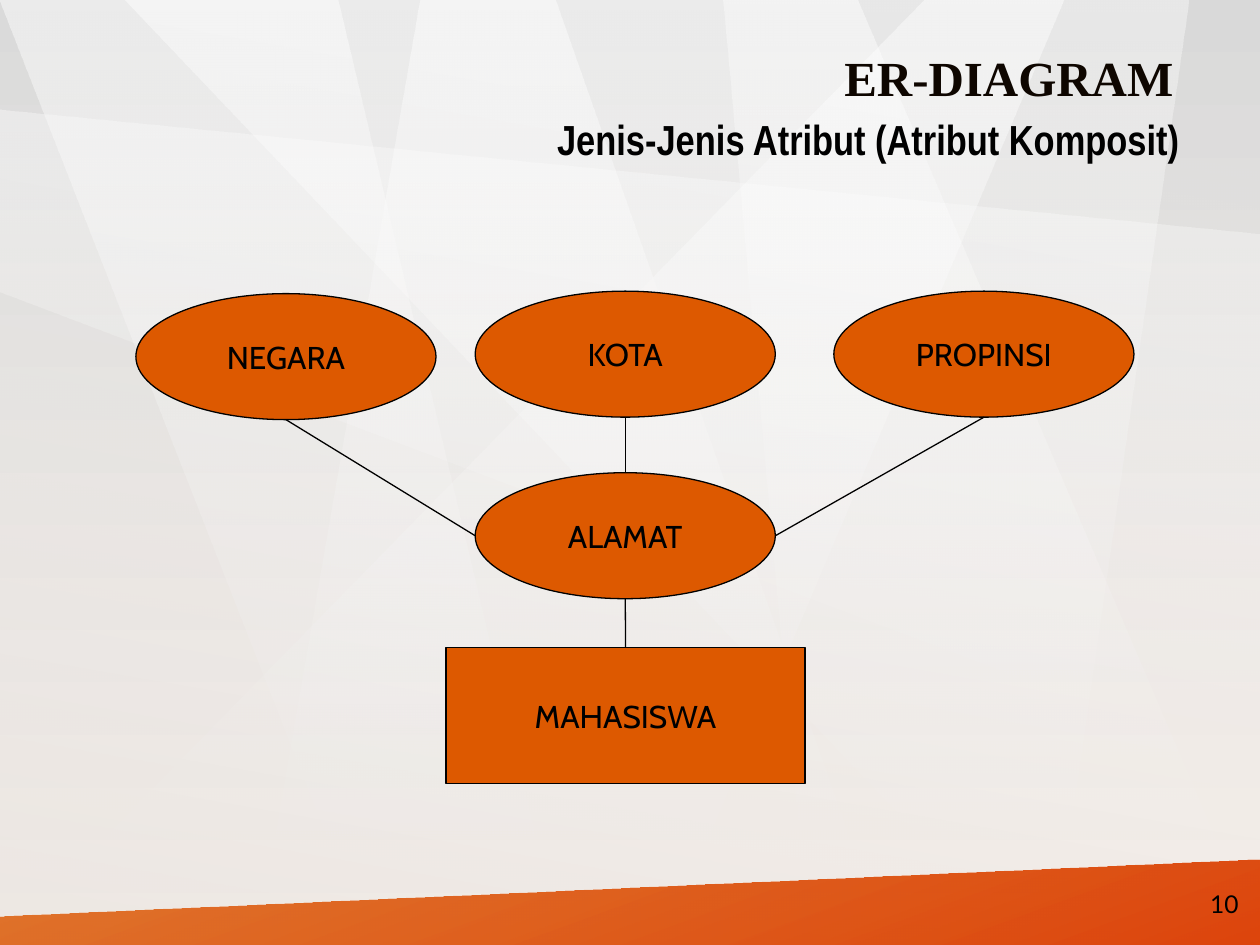
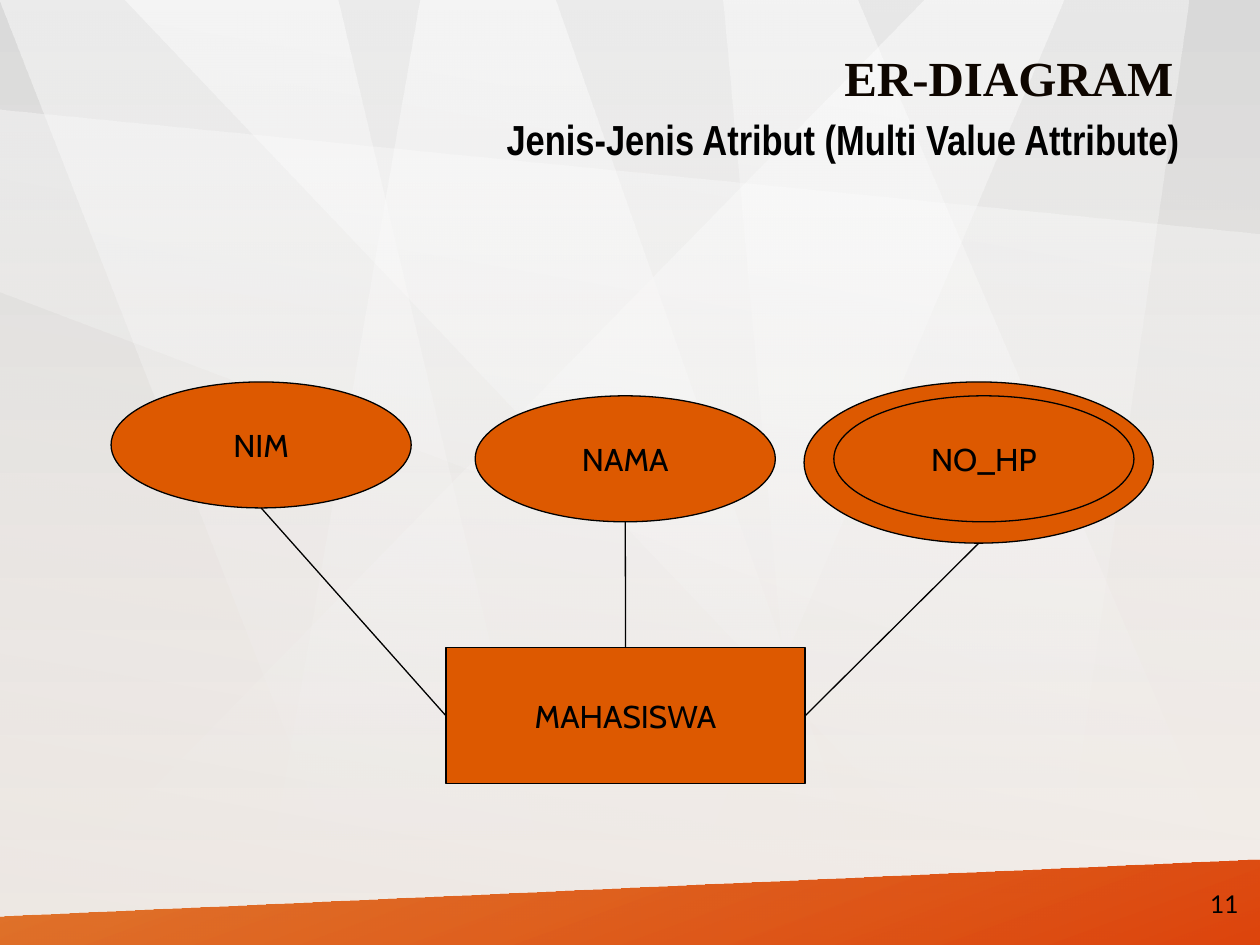
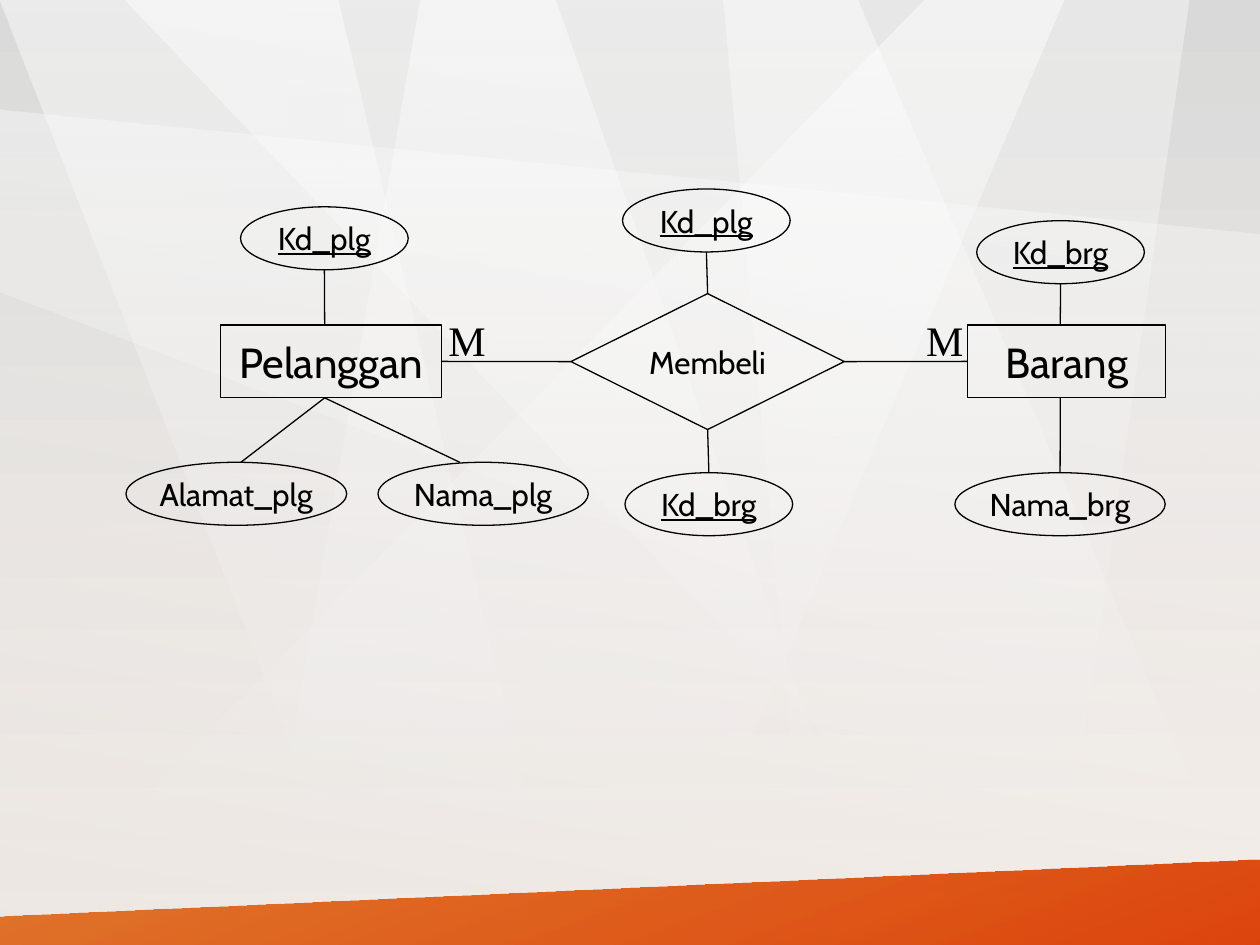
from dataclasses import dataclass

from lxml import etree
from pptx import Presentation
from pptx.dml.color import RGBColor
from pptx.enum.shapes import MSO_CONNECTOR, MSO_SHAPE
from pptx.enum.text import MSO_ANCHOR, PP_ALIGN
from pptx.oxml.ns import qn
from pptx.util import Cm, Pt

RECT, ELLIPSE, DIAMOND = MSO_SHAPE.RECTANGLE, MSO_SHAPE.OVAL, MSO_SHAPE.DIAMOND
STRAIGHT = MSO_CONNECTOR.STRAIGHT
TOP_ANCHOR, MIDDLE = MSO_ANCHOR.TOP, MSO_ANCHOR.MIDDLE
LEFT_ALIGN, CENTER, RIGHT_ALIGN = PP_ALIGN.LEFT, PP_ALIGN.CENTER, PP_ALIGN.RIGHT
TOP, LEFT, BOTTOM, RIGHT = range(4)


@dataclass(frozen=True)
class Theme:
    ink: str = "000000"
    title_ink: str = "0E0600"
    accent: str = "DD5900"
    accent_deep: str = "DC3C00"
    white: str = "FFFFFF"
    shade: str = "BFBFBF"
    page_top: str = "D9D9D9"
    page_bottom: str = "FCF5EF"
    title_font: str = "Times New Roman"
    subtitle_font: str = "Arial Narrow"
    node_font: str = "Cabin"
    number_font: str = "Lato"
    title_size: int = 28
    large_size: int = 24
    node_size: int = 18
    number_size: int = 14
    line_width: float = 0.75


@dataclass(frozen=True)
class Box:
    """A rectangle in centimetres."""
    left: float
    top: float
    width: float
    height: float

    def inner(self, left, top, width, height):
        return Box(self.left + left, self.top + top, width, height)

    def lengths(self):
        return Cm(self.left), Cm(self.top), Cm(self.width), Cm(self.height)


THEME = Theme()
PAGE = Box(0, 0, 25.4, 19.05)
ATTRIBUTE = (6.05, 2.54)  # width and height of a filled attribute
ENTITY = (7.24, 2.74)

# Corners of each light beam, with the opacity at its top
BEAMS = [
    (50, [(18.64, 0), (0, 19.05), (13.36, 19.05), (21.44, 0)]),
    (50, [(0, 0), (6.81, 0), (11.3, 19.05), (7.44, 19.05)]),
    (50, [(2.51, 0), (17.27, 0), (25.4, 19.05), (20.62, 19.05)]),
    (40, [(14.58, 0), (16.31, 19.05), (21.23, 19.05), (23.95, 0)]),
    (50, [(11.2, 0), (8.48, 0), (5.18, 19.05), (17.88, 19.05)]),
    (40, [(0, 2.21), (25.4, 4.72), (25.4, 15.49), (0, 5.89)]),
]
FOOTER_BAND = [(0, 18.47), (25.4, 17.32), (25.4, 19.05), (0, 19.05)]


def rgb(color):
    return RGBColor.from_string(color)


# Shared drawing helpers
def set_gradient(fill, colors, clockwise_angle):
    fill.gradient()
    fill.gradient_angle = 360 - clockwise_angle
    for stop, color in zip(fill.gradient_stops, colors):
        stop.color.rgb = rgb(color)


def fade(shape, colors, opacities, clockwise_angle):
    """Give a borderless shape a gradient whose stops are see-through."""
    shape.shadow.inherit = False
    shape.line.fill.background()
    set_gradient(shape.fill, colors, clockwise_angle)
    for color, opacity in zip(shape._element.spPr.iter(qn("a:srgbClr")), opacities):
        etree.SubElement(color, qn("a:alpha")).set("val", str(opacity * 1000))


def add_polygon(page, corners):
    points = [(Cm(x), Cm(y)) for x, y in corners]
    builder = page.shapes.build_freeform(*points[0])
    builder.add_line_segments(points[1:], close=True)
    return builder.convert_to_shape()


def write(shape, text, font, size, color=THEME.ink, align=CENTER,
          anchor=MIDDLE, wrap=False, bold=False, underline=False):
    frame = shape.text_frame
    frame.word_wrap = wrap
    frame.vertical_anchor = anchor
    para = frame.paragraphs[0]
    para.text = text
    para.alignment = align
    para.font.name = font
    para.font.size = Pt(size)
    para.font.color.rgb = rgb(color)
    para.font.bold = bold
    para.font.underline = underline


def add_text(page, box, text, font, size, **style):
    write(page.shapes.add_textbox(*box.lengths()), text, font, size, **style)


def add_node(page, kind, box, text="", fill=None, size=THEME.node_size, underline=False):
    node = page.shapes.add_shape(kind, *box.lengths())
    node.shadow.inherit = False
    if fill:
        node.fill.solid()
        node.fill.fore_color.rgb = rgb(fill)
    else:
        node.fill.background()
    node.line.color.rgb = rgb(THEME.ink)
    node.line.width = Pt(THEME.line_width)
    if text:
        write(node, text, THEME.node_font, size, underline=underline)
    return node


def side_point(node, side, shift):
    x = node.left + {LEFT: 0, RIGHT: node.width}.get(side, node.width // 2)
    y = node.top + {TOP: 0, BOTTOM: node.height}.get(side, node.height // 2)
    return x + Cm(shift), y


def link(page, start, start_side, end, end_side, start_shift=0, end_shift=0):
    """Draw a line between two sides; a shift moves an end off the middle."""
    line = page.shapes.add_connector(
        STRAIGHT, *side_point(start, start_side, start_shift),
        *side_point(end, end_side, end_shift))
    line.line.color.rgb = rgb(THEME.ink)
    line.line.width = Pt(THEME.line_width)
    etree.SubElement(line._element.spPr, qn("a:effectLst"))
    # Ellipses number their joints differently, so only four-sided nodes join
    if start.auto_shape_type != ELLIPSE and not start_shift:
        line.begin_connect(start, start_side)
    if end.auto_shape_type != ELLIPSE and not end_shift:
        line.end_connect(end, end_side)


# Backdrop shared by all slides
def build_backdrop(deck, page):
    """Draw the backdrop once and move it to the slide master."""
    master = deck.slide_master
    set_gradient(master.background.fill, (THEME.page_top, THEME.page_bottom), 90)
    parts = []
    for opacity, corners in BEAMS:
        beam = add_polygon(page, corners)
        fade(beam, (THEME.white, THEME.white), (opacity, 0), 90)
        parts.append(beam)
    veil = page.shapes.add_shape(RECT, *PAGE.lengths())
    fade(veil, (THEME.shade, THEME.white), (25, 0), 280)
    band = add_polygon(page, FOOTER_BAND)
    fade(band, (THEME.accent, THEME.accent_deep), (80, 95), 70)
    for number, part in enumerate(parts + [veil, band], start=101):
        part._element.nvSpPr.cNvPr.set("id", str(number))
        master.shapes._spTree.append(part._element)


# Title, subtitle and page number
def add_heading(page, box, subtitle, subtitle_width, number):
    add_text(page, box.inner(23.16, 17.7, 2.06, 1.02), number, THEME.number_font,
             THEME.number_size, align=RIGHT_ALIGN, wrap=True)
    add_text(page, box.inner(24.03 - subtitle_width, 2.16, subtitle_width, 1.27),
             subtitle, THEME.subtitle_font, THEME.large_size,
             align=RIGHT_ALIGN, anchor=TOP_ANCHOR, bold=True)
    add_text(page, box.inner(5.28, 0.84, 18.62, 1.45), "ER-DIAGRAM", THEME.title_font,
             THEME.title_size, color=THEME.title_ink, align=RIGHT_ALIGN,
             anchor=TOP_ANCHOR, wrap=True, bold=True)


def add_filled(page, box, kind, size, left, top, text):
    return add_node(page, kind, box.inner(left, top, *size), text, THEME.accent)


# Composite attribute: three parts feed one attribute of the entity
def build_composite(page, box):
    student = add_filled(page, box, RECT, ENTITY, 6.25, 7.19, "MAHASISWA")
    address = add_filled(page, box, ELLIPSE, ATTRIBUTE, 6.84, 3.66, "ALAMAT")
    parts = [("NEGARA", 0, 0.05, LEFT), ("KOTA", 6.84, 0, TOP),
             ("PROPINSI", 14.07, 0, RIGHT)]
    for text, left, top, side in parts:
        part = add_filled(page, box, ELLIPSE, ATTRIBUTE, left, top, text)
        link(page, part, BOTTOM, address, side)
    link(page, address, BOTTOM, student, TOP)


# Multi-valued attribute: a double ellipse beside two plain ones
def build_multi_value(page, box):
    outer = add_filled(page, box, ELLIPSE, (7.04, 3.25), 13.97, 0, "")
    student = add_filled(page, box, RECT, ENTITY, 6.75, 5.36, "MAHASISWA")
    name = add_filled(page, box, ELLIPSE, ATTRIBUTE, 7.34, 0.28, "NAMA")
    add_filled(page, box, ELLIPSE, ATTRIBUTE, 14.57, 0.28, "NO_HP")
    student_id = add_filled(page, box, ELLIPSE, ATTRIBUTE, 0, 0, "NIM")
    for attribute, side in [(student_id, LEFT), (outer, RIGHT), (name, TOP)]:
        link(page, attribute, BOTTOM, student, side)


# Many-to-many relation between two entities
def build_relation(page, box):
    customer = add_node(page, RECT, box.inner(1.91, 2.74, 4.45, 1.47), "Pelanggan",
                        size=THEME.large_size)
    goods = add_node(page, RECT, box.inner(16.97, 2.74, 3.99, 1.47), "Barang",
                     size=THEME.large_size)
    buys = add_node(page, DIAMOND, box.inner(8.97, 2.11, 5.51, 2.74), "Membeli")
    link(page, customer, RIGHT, buys, LEFT)
    link(page, buys, RIGHT, goods, LEFT)
    for left in (6.25, 15.88):
        add_text(page, box.inner(left, 2.4, 1.27, 1.27), "M", THEME.title_font,
                 THEME.large_size, align=LEFT_ALIGN, anchor=TOP_ANCHOR)

    # Text, left, top, width, key, owner, owner side, shift at owner, shift at attribute
    attributes = [
        ("Kd_plg", 2.31, 0.36, 3.38, True, customer, TOP, -0.13, 0),
        ("Kd_plg", 10.01, 0, 3.38, True, buys, TOP, 0, 0),
        ("Alamat_plg", 0, 5.51, 4.45, False, customer, BOTTOM, -0.13, 0.09),
        ("Nama_plg", 5.08, 5.51, 4.24, False, customer, BOTTOM, -0.13, -0.47),
        ("Kd_brg", 10.06, 5.72, 3.38, True, buys, BOTTOM, 0, 0),
        ("Kd_brg", 17.15, 0.64, 3.38, True, goods, TOP, -0.13, 0),
        ("Nama_brg", 16.71, 5.72, 4.24, False, goods, BOTTOM, -0.13, 0),
    ]
    for text, left, top, width, key, owner, side, owner_shift, shift in attributes:
        attribute = add_node(page, ELLIPSE, box.inner(left, top, width, 1.27), text,
                             underline=key)
        facing = BOTTOM if side == TOP else TOP
        link(page, owner, side, attribute, facing, owner_shift, shift)


def main():
    deck = Presentation()
    deck.slide_width, deck.slide_height = Cm(PAGE.width), Cm(PAGE.height)
    blank = deck.slide_layouts[6]
    composite, multi_value, relation = [deck.slides.add_slide(blank) for _ in range(3)]
    build_backdrop(deck, composite)

    add_heading(composite, PAGE, "Jenis-Jenis Atribut (Atribut Komposit)", 13.18, "10")
    build_composite(composite, Box(2.74, 5.87, 20.12, 9.93))

    add_heading(multi_value, PAGE, "Jenis-Jenis Atribut (Multi Value Attribute)", 14.22, "11")
    build_multi_value(multi_value, Box(2.24, 7.7, 21.01, 8.1))

    build_relation(relation, Box(2.54, 3.81, 20.96, 6.99))
    deck.save("out.pptx")


if __name__ == "__main__":
    main()
